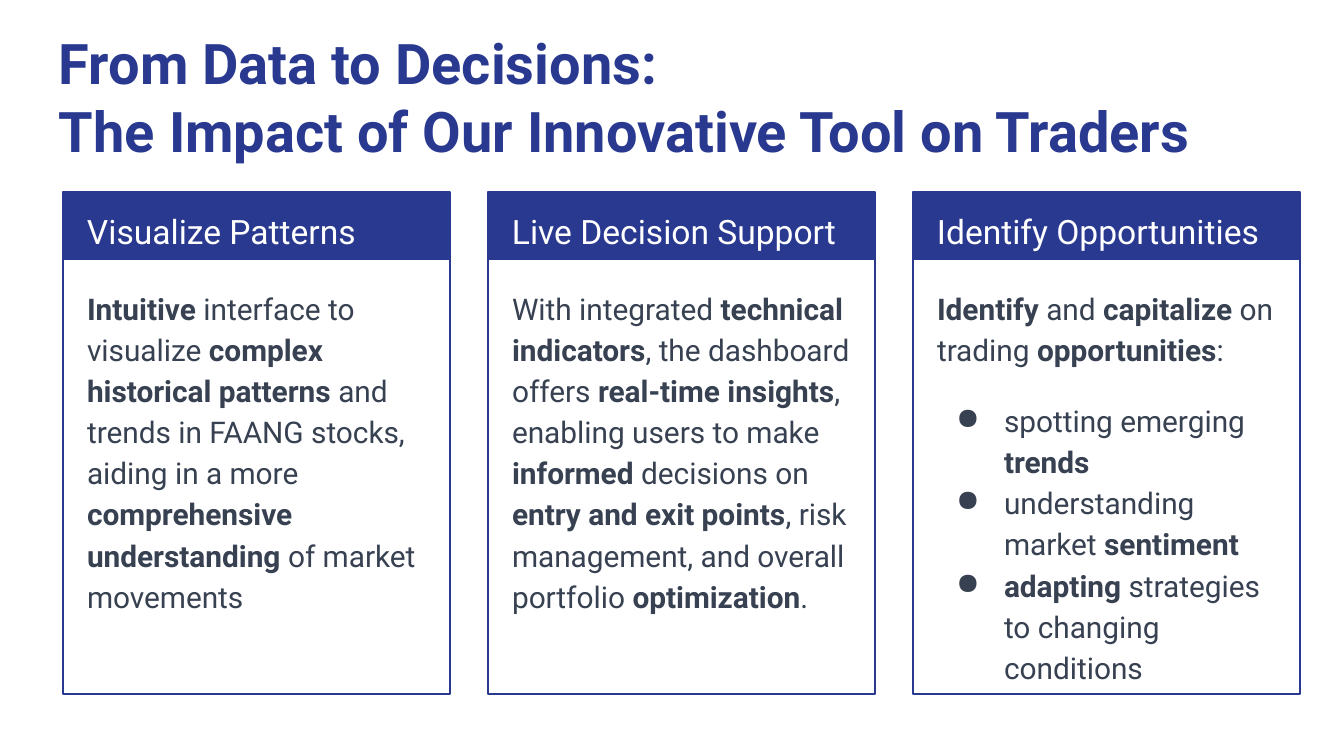
"""Build the slide on what the tool does for traders."""
from lxml import etree
from pptx import Presentation
from pptx.dml.color import RGBColor
from pptx.enum.shapes import MSO_SHAPE
from pptx.enum.text import MSO_ANCHOR, MSO_AUTO_SIZE, PP_ALIGN
from pptx.oxml.ns import qn
from pptx.util import Emu, Pt

RECT = MSO_SHAPE.RECTANGLE
TOP = MSO_ANCHOR.TOP
LEFT = PP_ALIGN.LEFT
NO_FIT = MSO_AUTO_SIZE.NONE
NAVY = RGBColor(0x2A, 0x39, 0x90)
SLATE = RGBColor(0x37, 0x41, 0x51)
WHITE = RGBColor(0xFF, 0xFF, 0xFF)
FONT = "Roboto"
SCALE = 914400 / 134.4

TITLE = "From Data to Decisions:\v**The Impact of Our Innovative Tool on Traders"
CARDS = [
    ("Visualize Patterns",
     "**Intuitive** interface to visualize **complex historical patterns** and trends "
     "in FAANG stocks, aiding in a more **comprehensive understanding **of market movements",
     []),
    ("Live Decision Support",
     "With integrated **technical indicators**, the dashboard offers **real-time insights**, "
     "enabling users to make **informed** decisions on **entry and exit points**, "
     "risk management, and overall portfolio **optimization**.",
     []),
    ("Identify Opportunities",
     "**Identify** and **capitalize** on trading **opportunities**:",
     ["spotting emerging **trends**",
      "understanding market **sentiment**",
      "**adapting **strategies to changing conditions"]),
]


def px(n):
    return Emu(round(n * SCALE))


def add_bullet(p, color):
    pPr = p._p.get_or_add_pPr()
    pPr.set("marL", str(px(67)))
    pPr.set("indent", str(px(-48)))
    clr = etree.SubElement(pPr, qn("a:buClr"))
    etree.SubElement(clr, qn("a:srgbClr")).set("val", str(color))
    etree.SubElement(pPr, qn("a:buChar")).set("char", "●")


def write(p, text, size=16, color=SLATE, bold=False, spacing=1.15, before=0, bullet=False):
    """Fill a paragraph; double asterisks switch bold on and off."""
    if bullet:
        add_bullet(p, color)
    p.alignment = LEFT
    p.line_spacing = spacing
    p.space_before = Pt(before)
    for i, part in enumerate(text.split("**")):
        if not part:
            continue
        r = p.add_run()
        r.text = part
        r.font.name = FONT
        r.font.size = Pt(size)
        r.font.color.rgb = color
        r.font.bold = bold or i % 2 == 1


class Deck:
    """Hold the style and the current slide."""

    def __init__(self, width, height):
        self.prs = Presentation()
        self.prs.slide_width, self.prs.slide_height = px(width), px(height)
        self.s = self.prs.slides.add_slide(self.prs.slide_layouts[5])

    def frame(self, sp):
        tf = sp.text_frame
        tf.word_wrap = True
        tf.auto_size = NO_FIT
        tf.vertical_anchor = TOP
        tf.margin_left = tf.margin_right = tf.margin_top = tf.margin_bottom = px(13)
        return tf

    def title(self, lines, x, y, w, h):
        sp = self.s.shapes.title
        sp.left, sp.top, sp.width, sp.height = px(x), px(y), px(w), px(h)
        p = self.frame(sp).paragraphs[0]
        for i, line in enumerate(lines):
            if i:
                p.add_line_break()
            write(p, line, size=30, color=NAVY, bold=True, spacing=1.0)

    def rect(self, x, y, w, h, fill=None, line=None):
        sp = self.s.shapes.add_shape(RECT, px(x), px(y), px(w), px(h))
        sp.shadow.inherit = False
        if fill is None:
            sp.fill.background()
        else:
            sp.fill.solid()
            sp.fill.fore_color.rgb = fill
        if line is None:
            sp.line.fill.background()
        else:
            sp.line.color.rgb = line
            sp.line.width = Pt(0.75)

    def text(self, x, y, w, h):
        return self.frame(self.s.shapes.add_textbox(px(x), px(y), px(w), px(h)))

    def card(self, x, y, heading, body, bullets):
        self.rect(x, y, 387, 68, fill=NAVY)
        self.rect(x, y, 387, 502, line=NAVY)
        tf = self.text(x + 11, y, 367, 68)
        write(tf.paragraphs[0], heading, size=18, color=WHITE)
        tf = self.text(x + 11, y + 80, 364, 411)
        write(tf.paragraphs[0], body)
        for i, item in enumerate(bullets):
            write(tf.add_paragraph(), item, before=0 if i else 16, bullet=True)


def main():
    deck = Deck(1344, 756)
    deck.title(TITLE.replace("**", "").split("\v"), 46, 16, 1252, 89)
    for i, card in enumerate(CARDS):
        deck.card(63 + 425 * i, 192, *card)
    deck.prs.save("out.pptx")


if __name__ == "__main__":
    main()
